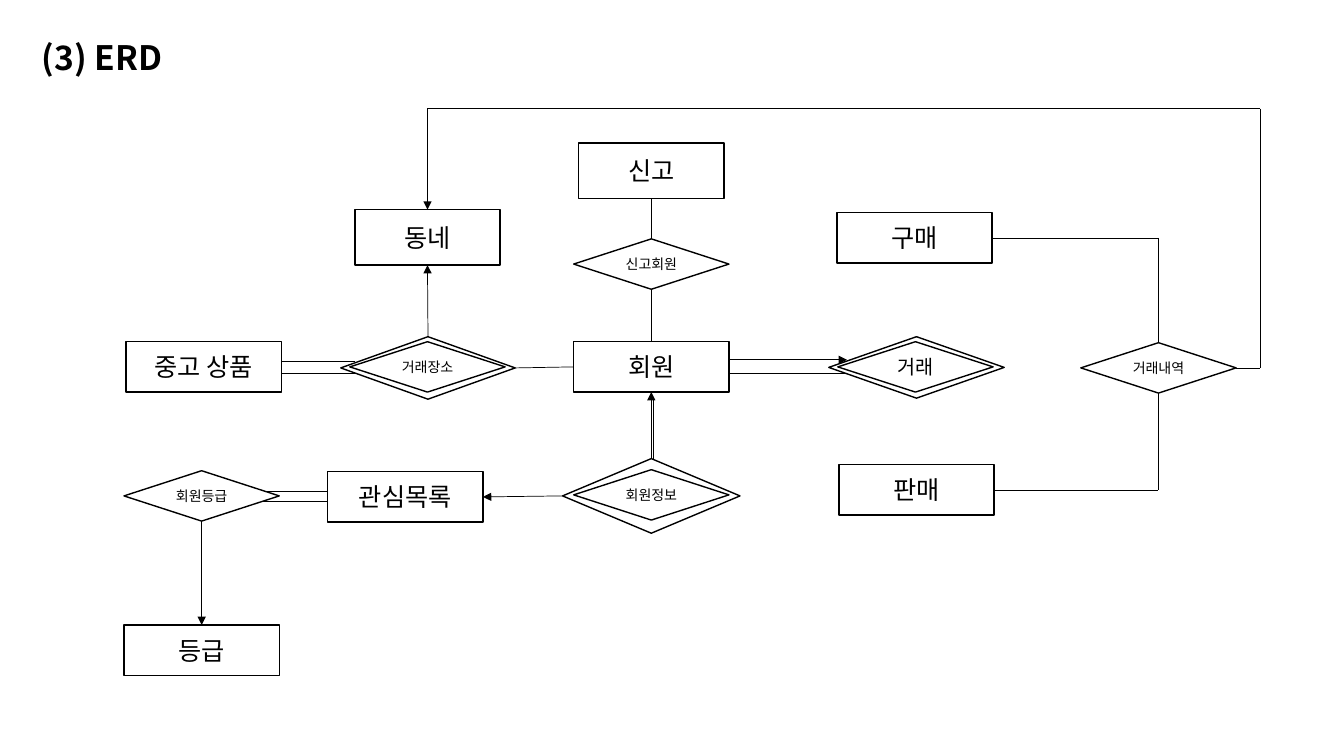
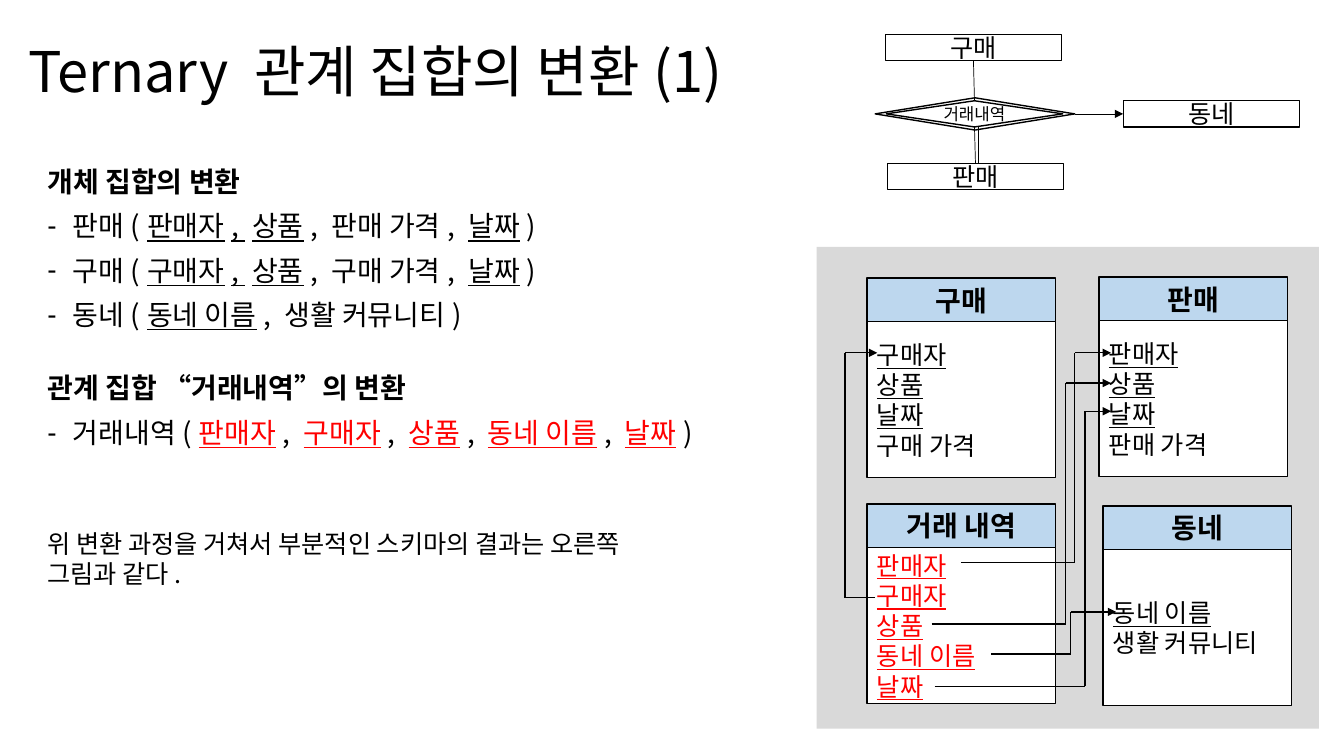
from lxml.etree import SubElement
from pptx import Presentation
from pptx.dml.color import RGBColor
from pptx.enum.shapes import MSO_CONNECTOR, MSO_SHAPE
from pptx.enum.text import MSO_ANCHOR as ANCHOR, MSO_AUTO_SIZE, PP_ALIGN as ALIGN
from pptx.oxml.ns import qn
from pptx.util import Pt

PX = 9144  # EMU in one px: 100 px to the inch
FONT = "Noto Sans CJK KR"
BLACK = RGBColor(0x00, 0x00, 0x00)
WHITE = RGBColor(0xFF, 0xFF, 0xFF)
RED = RGBColor(0xFF, 0x00, 0x00)
GRAY = RGBColor(0xD9, 0xD9, 0xD9)
HEADER_BLUE = RGBColor(0xBD, 0xD7, 0xEE)
TOP, LEFT, BOTTOM, RIGHT = range(4)  # connection sites
TITLE_ONLY, TITLE_AND_BODY = 5, 1    # template layouts


class Deck:
    """Holds the shared style and the slide being drawn."""

    def __init__(self):
        self.presentation = Presentation()
        self.presentation.slide_width = 1333 * PX
        self.presentation.slide_height = 750 * PX
        self.slide = None

    def new_slide(self, layout):
        layouts = self.presentation.slide_layouts
        self.slide = self.presentation.slides.add_slide(layouts[layout])

    # Text
    def add_text(self, paragraph, text, size, bold=False, key_color=BLACK,
                 align=ALIGN.LEFT):
        """Add text, underlining the parts between _ marks."""
        paragraph.alignment = align
        for index, part in enumerate(text.split("_")):
            if not part:
                continue
            is_key = index % 2 == 1
            run = paragraph.add_run()
            run.text = part
            font = run.font
            font.name, font.size, font.bold = FONT, Pt(size), bold
            font.underline = is_key
            font.color.rgb = key_color if is_key else BLACK
            east_asian = SubElement(font._element, qn("a:ea"))
            east_asian.set("typeface", FONT)

    def place(self, shape, box, anchor):
        shape.left, shape.top, shape.width, shape.height = (n * PX for n in box)
        frame = shape.text_frame
        frame.word_wrap = True
        frame.auto_size = MSO_AUTO_SIZE.NONE
        frame.vertical_anchor = anchor
        return frame

    def title(self, text, box, size, bold=False, align=ALIGN.LEFT,
              anchor=ANCHOR.MIDDLE):
        frame = self.place(self.slide.shapes.title, box, anchor)
        paragraph = frame.paragraphs[0]
        paragraph.line_spacing = 0.9
        self.add_text(paragraph, text, size, bold, align=align)

    def body(self, sections, box, size):
        """Fill the body placeholder with headings and dashed lists."""
        frame = self.place(self.slide.placeholders[1], box, ANCHOR.TOP)
        paragraph = None
        for heading, items, key_color in sections:
            for text in (heading, *items):
                is_heading = text is heading
                gap = 31 if is_heading and paragraph is not None else 10
                paragraph = (frame.paragraphs[0] if paragraph is None
                             else frame.add_paragraph())
                paragraph.line_spacing = 0.9
                paragraph.space_before = Pt(gap)
                properties = paragraph._p.get_or_add_pPr()
                indent = 0 if is_heading else 25 * PX
                properties.set("marL", str(indent))
                properties.set("indent", str(-indent))
                if is_heading:
                    SubElement(properties, qn("a:buNone"))
                else:
                    SubElement(properties, qn("a:buChar")).set("char", "-")
                self.add_text(paragraph, text, size, is_heading, key_color)

    def note(self, text, box, size):
        shape = self.slide.shapes.add_textbox(*(n * PX for n in box))
        frame = self.place(shape, box, ANCHOR.TOP)
        self.add_text(frame.paragraphs[0], text, size)

    # Shapes
    def shape(self, kind, box, lines=(), size=18, fill=WHITE, outlined=True,
              align=ALIGN.CENTER, bold=False, key_color=BLACK):
        shape = self.slide.shapes.add_shape(kind, *(n * PX for n in box))
        shape.shadow.inherit = False
        shape.fill.solid()
        shape.fill.fore_color.rgb = fill
        if outlined:
            shape.line.color.rgb = BLACK
            shape.line.width = Pt(1)
        else:
            shape.line.fill.background()
        frame = shape.text_frame
        frame.vertical_anchor = ANCHOR.MIDDLE
        for index, text in enumerate(lines):
            paragraph = frame.add_paragraph() if index else frame.paragraphs[0]
            self.add_text(paragraph, text, size, bold, key_color, align)
        return shape

    def entity(self, text, left, top, width=154, height=50):
        return self.shape(MSO_SHAPE.RECTANGLE, (left, top, width, height), [text])

    def relation(self, text, left, top, width=154, height=50, size=10):
        lines = [text] if text else []
        return self.shape(MSO_SHAPE.DIAMOND, (left, top, width, height), lines, size)

    def schema_table(self, name, columns, left, top, key_color=BLACK):
        width, header, height = 187, 43, 155
        self.shape(MSO_SHAPE.RECTANGLE, (left, top + header, width, height),
                   columns, align=ALIGN.LEFT, key_color=key_color)
        self.shape(MSO_SHAPE.RECTANGLE, (left, top, width, header), [name],
                   size=20, fill=HEADER_BLUE, bold=True)

    # Lines
    def point(self, end):
        """Return an end in EMU; an end is (x, y) or (shape, site)."""
        first, second = end
        if isinstance(first, int):
            return first * PX, second * PX
        x = first.left + first.width * {LEFT: 0, RIGHT: 2}.get(second, 1) // 2
        y = first.top + first.height * {TOP: 0, BOTTOM: 2}.get(second, 1) // 2
        return x, y

    def link(self, *ends, arrow=False, weight=0.5):
        """Draw straight legs through the ends, joined to shapes given."""
        for start, stop in zip(ends, ends[1:]):
            connector = self.slide.shapes.add_connector(
                MSO_CONNECTOR.STRAIGHT, *self.point(start), *self.point(stop))
            if not isinstance(start[0], int):
                connector.begin_connect(*start)
            if not isinstance(stop[0], int):
                connector.end_connect(*stop)
            connector.line.color.rgb = BLACK
            connector.line.width = Pt(weight)
            if arrow and stop is ends[-1]:
                tail = SubElement(connector.line._get_or_add_ln(), qn("a:tailEnd"))
                tail.set("type", "triangle")
            SubElement(connector._element.spPr, qn("a:effectLst"))


def build_erd(deck):
    deck.new_slide(TITLE_ONLY)
    deck.title("(3) ERD", (24, 36, 154, 58), 24, bold=True,
               align=ALIGN.CENTER, anchor=ANCHOR.TOP)

    # Double lines, partly hidden by the shapes above them
    for x1, x2, y in ((254, 347, 487), (245, 338, 497), (722, 840, 370),
                      (352, 279, 359), (352, 279, 370)):
        deck.link((x1, y), (x2, y))
    deck.link((695, 357), (840, 357), arrow=True)
    deck.link((648, 396), (648, 455))

    # Entities
    member = deck.entity("회원", 569, 339)
    grade = deck.entity("등급", 123, 620)
    purchase = deck.entity("구매", 830, 211)
    sale = deck.entity("판매", 832, 461)
    wish_list = deck.entity("관심목록", 325, 468)
    deck.entity("중고 상품", 125, 339)
    town = deck.entity("동네", 352, 208, 144, 55)
    report = deck.entity("신고", 574, 142, 144, 55)

    # Relations, the double ones with an outer diamond
    deck.relation("", 822, 334, 174, 61)
    deck.relation("거래", 831, 339, size=14)
    member_info = deck.relation("", 558, 455, 176, 74)
    deck.relation("회원정보", 569, 466)
    trade_place = deck.relation("", 338, 334, 173, 62)
    deck.relation("거래장소", 347, 339)
    member_grade = deck.relation("회원등급", 123, 467)
    reporter = deck.relation("신고회원", 569, 237)
    trade_record = deck.relation("거래내역", 1072, 340)

    # Links
    deck.link((report, BOTTOM), (reporter, TOP))
    deck.link((reporter, BOTTOM), (member, TOP))
    deck.link((trade_place, RIGHT), (member, LEFT))
    deck.link((purchase, RIGHT), (1149, 236), (trade_record, TOP))
    deck.link((sale, RIGHT), (1149, 486), (trade_record, BOTTOM))
    deck.link((trade_place, TOP), (town, BOTTOM), arrow=True)
    deck.link((member_info, TOP), (member, BOTTOM), arrow=True)
    deck.link((member_info, LEFT), (wish_list, RIGHT), arrow=True)
    deck.link((member_grade, BOTTOM), (grade, TOP), arrow=True)
    deck.link((trade_record, RIGHT), (1250, 365), (1250, 108), (424, 108),
              (town, TOP), arrow=True)


def build_ternary(deck):
    deck.new_slide(TITLE_AND_BODY)
    deck.shape(MSO_SHAPE.RECTANGLE, (810, 245, 498, 478), fill=GRAY,
               outlined=False)
    deck.title("Ternary 관계 집합의 변환(1)", (18, 29, 752, 89), 40)

    # Small diagram
    size = (175, 26)
    outer = deck.relation("", 868, 97, 198, 32)
    purchase = deck.entity("구매", 878, 34, *size)
    sale = deck.entity("판매", 880, 162, *size)
    record = deck.relation("거래내역", 879, 100, *size, size=12)
    town = deck.entity("동네", 1114, 100, *size)
    deck.link((purchase, BOTTOM), (record, TOP))
    deck.link((record, BOTTOM), (sale, TOP))
    deck.link((970, 125), (970, 162))
    deck.link((outer, RIGHT), (town, LEFT), arrow=True)

    # Explanation
    deck.body([
        ("개체 집합의 변환",
         ["판매(_판매자, 상품_, 판매 가격, _날짜_)",
          "구매(_구매자, 상품_, 구매 가격, _날짜_)",
          "동네(_동네 이름_, 생활 커뮤니티)"], BLACK),
        ("관계 집합 “거래내역”의 변환",
         ["거래내역(_판매자_, _구매자_, _상품_, _동네 이름_, _날짜_)"], RED),
    ], (37, 162, 773, 318), 20)
    deck.note("위 변환 과정을 거쳐서 부분적인 스키마의 결과는 오른쪽 그림과 같다.",
              (37, 519, 662, 101), 18)

    # Schema tables
    deck.schema_table("구매", ["_구매자_", "_상품_", "_날짜_", "구매 가격"], 860, 276)
    deck.schema_table("판매", ["_판매자_", "_상품_", "_날짜_", "판매 가격"], 1090, 275)
    deck.schema_table("동네", ["_동네 이름_", "생활 커뮤니티"], 1094, 502)
    deck.schema_table("거래 내역", ["_판매자_", "_구매자_", "_상품_", "_동네 이름_",
                                "_날짜_"], 860, 500, RED)

    # Key references: start, x of the vertical leg, end
    for start, turn, end in (((953, 558), 1066, (1102, 350)),
                             ((868, 593), 838, (870, 350)),
                             ((924, 619), 1057, (1102, 380)),
                             ((983, 649), 1062, (1107, 607)),
                             ((927, 681), 1076, (1102, 408))):
        deck.link(start, (turn, start[1]), (turn, end[1]), end,
                  arrow=True, weight=1)


def main():
    deck = Deck()
    build_erd(deck)
    build_ternary(deck)
    deck.presentation.save("out.pptx")


if __name__ == "__main__":
    main()
